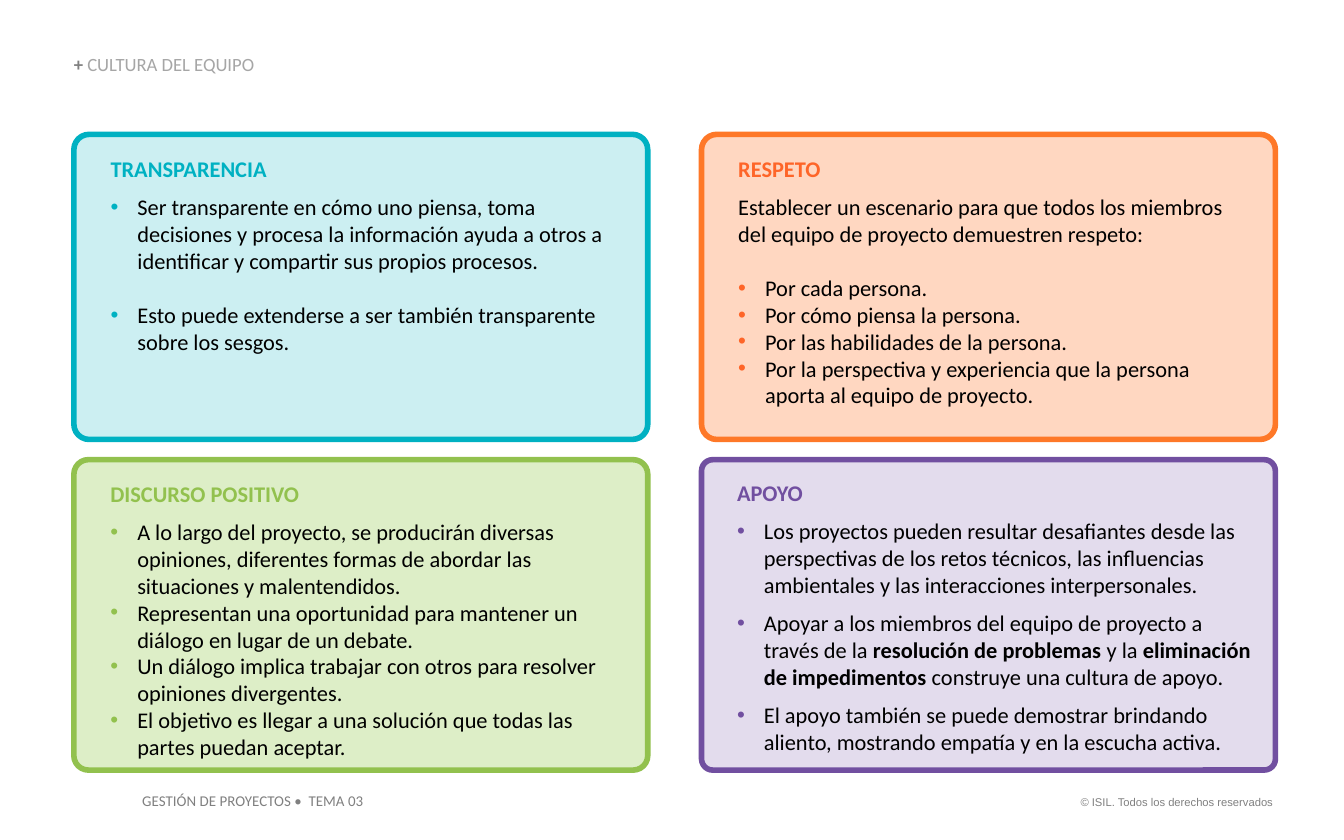
import pptx
import pptx.util
import pptx.dml.color
import pptx.enum.shapes
import pptx.enum.text
import pptx.oxml.ns
import lxml.etree

Inches, Pt = pptx.util.Inches, pptx.util.Pt
ALIGN, ANCHOR = pptx.enum.text.PP_ALIGN, pptx.enum.text.MSO_ANCHOR
LINE = 14.6  # one text line, in points

# Cards: title, (title, line, fill) colours, corner, gap between items, intro, items
# Two asterisks mark bold words.
CARDS = [
    dict(title="TRANSPARENCIA", ink="00B1C2", line="00B1C2", fill="CCEFF2",
         bend=0.05, gap=LINE, intro="", items=[
             "Ser transparente en cómo uno piensa, toma decisiones y procesa la "
             "información ayuda a otros a identificar y compartir sus propios procesos.",
             "Esto puede extenderse a ser también transparente sobre los sesgos."]),
    dict(title="RESPETO", ink="FE6528", line="FE7828", fill="FFD7C1",
         bend=0.05, gap=0, intro="Establecer un escenario para que todos los "
         "miembros del equipo de proyecto demuestren respeto:", items=[
             "Por cada persona.",
             "Por cómo piensa la persona.",
             "Por las habilidades de la persona.",
             "Por la perspectiva y experiencia que la persona aporta al equipo "
             "de proyecto."]),
    dict(title="DISCURSO POSITIVO", ink="92C14E", line="92C14E", fill="DDEEC7",
         bend=0.047, gap=0, intro="", items=[
             "A lo largo del proyecto, se producirán diversas opiniones, diferentes "
             "formas de abordar las situaciones y malentendidos.",
             "Representan una oportunidad para mantener un diálogo en lugar de un debate.",
             "Un diálogo implica trabajar con otros para resolver opiniones divergentes.",
             "El objetivo es llegar a una solución que todas las partes puedan aceptar."]),
    dict(title="APOYO", ink="714FA0", line="714FA0", fill="E3DCED",
         bend=0.036, gap=6, intro="", items=[
             "Los proyectos pueden resultar desafiantes desde las perspectivas de los "
             "retos técnicos, las influencias ambientales y las interacciones "
             "interpersonales.",
             "Apoyar a los miembros del equipo de proyecto a través de la "
             "**resolución de problemas** y la **eliminación de impedimentos** "
             "construye una cultura de apoyo.",
             "El apoyo también se puede demostrar brindando aliento, mostrando "
             "empatía y en la escucha activa."]),
]
COLS, WIDE = (0.55, 5.22), 4.27
ROWS = ((1, 2.27), (3.42, 2.31))  # top, height


def paint(hue):
    return pptx.dml.color.RGBColor.from_string(hue)


def write(para, text, size, hue, bold=False, face="Calibri"):
    run = para.add_run()
    run.text = text
    for key, val in dict(size=Pt(size), bold=bold, name=face).items():
        setattr(run.font, key, val)
    run.font.color.rgb = paint(hue)


def inset(frame, sides):
    for side, val in zip(("left", "top", "right", "bottom"), sides):
        setattr(frame, "margin_" + side, Inches(val))


def bullet(para, hue):
    props = para._p.get_or_add_pPr()
    props.set("marL", str(Inches(0.2)))
    props.set("indent", str(Inches(-0.2)))
    tag = pptx.oxml.ns.qn
    tint = lxml.etree.SubElement(props, tag("a:buClr"))
    lxml.etree.SubElement(tint, tag("a:srgbClr")).set("val", hue)
    lxml.etree.SubElement(props, tag("a:buFont")).set("typeface", "Arial")
    lxml.etree.SubElement(props, tag("a:buChar")).set("char", "•")


def label(slide, place, wrap=False):
    frame = slide.shapes.add_textbox(*map(Inches, place)).text_frame
    frame.word_wrap = wrap
    return frame


def card(slide, data, place):
    box = slide.shapes.add_shape(
        pptx.enum.shapes.MSO_SHAPE.ROUNDED_RECTANGLE, *map(Inches, place))
    box.adjustments[0] = data["bend"]
    box.shadow.inherit = False
    box.fill.solid()
    box.fill.fore_color.rgb = paint(data["fill"])
    box.line.color.rgb = paint(data["line"])
    box.line.width = Pt(3)
    frame = box.text_frame
    frame.word_wrap = True
    frame.vertical_anchor = ANCHOR.TOP
    inset(frame, (0.24, 0.12, 0.12, 0.05))

    # Heading
    para = frame.paragraphs[0]
    para.alignment = ALIGN.LEFT
    para.space_after = Pt(6)
    write(para, data["title"], 12, data["ink"], True)

    # Introduction
    if data["intro"]:
        para = frame.add_paragraph()
        para.alignment = ALIGN.LEFT
        para.space_after = Pt(LINE)
        write(para, data["intro"], 12, "000000")

    # Bulleted items
    for item in data["items"]:
        para = frame.add_paragraph()
        bullet(para, data["ink"])
        para.alignment = ALIGN.LEFT
        para.space_after = Pt(data["gap"])
        for num, part in enumerate(item.split("**")):
            write(para, part, 12, "000000", num % 2 == 1)


def main():
    deck = pptx.Presentation()
    deck.slide_width, deck.slide_height = Inches(10), Inches(6.25)
    slide = deck.slides.add_slide(deck.slide_layouts[6])

    # Footer
    para = label(slide, (7.91, 5.87, 1.66, 0.2)).paragraphs[0]
    para.alignment = ALIGN.RIGHT
    write(para, "© ISIL. Todos los derechos reservados", 6, "808080", face="Arial")
    para = label(slide, (0.96, 5.84, 1.85, 0.24)).paragraphs[0]
    para.alignment = ALIGN.LEFT
    write(para, "GESTIÓN DE PROYECTOS •\u00a0 TEMA 03".replace("\u00a0", " "),
          8, "808080")

    # Cards in a two by two grid
    for num, data in enumerate(CARDS):
        top, high = ROWS[num // 2]
        card(slide, data, (COLS[num % 2], top, WIDE, high))

    # Slide title
    frame = label(slide, (0.55, 0.41, 3.86, 0.15), True)
    frame.vertical_anchor = ANCHOR.BOTTOM
    inset(frame, (0, 0, 0, 0))
    para = frame.paragraphs[0]
    para.line_spacing = 0.9
    write(para, "+ ", 10, "808080", True)
    write(para, "CULTURA DEL EQUIPO", 10, "A6A6A6")

    deck.save("out.pptx")


if __name__ == "__main__":
    main()
